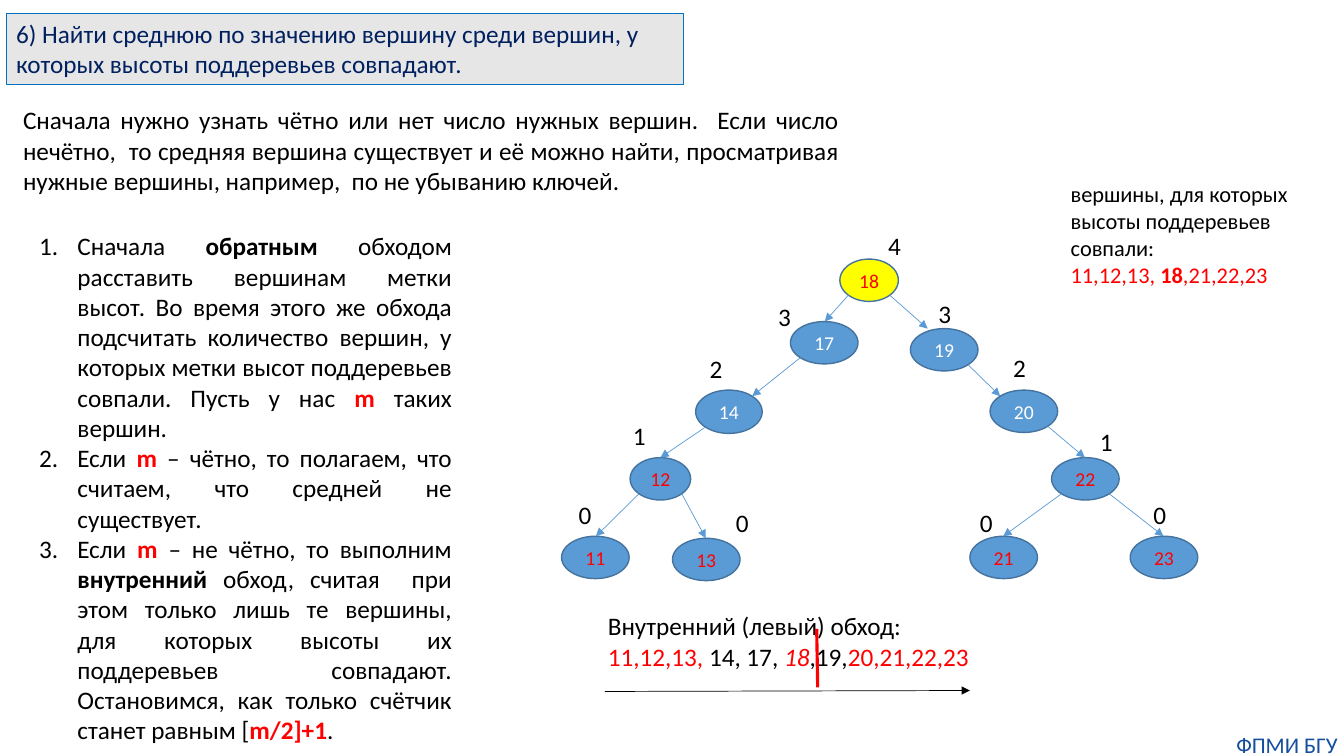
from math import sqrt

from lxml.etree import SubElement
from pptx import Presentation
from pptx.dml.color import RGBColor
from pptx.enum.shapes import MSO_CONNECTOR, MSO_SHAPE
from pptx.enum.text import MSO_ANCHOR, MSO_AUTO_SIZE, PP_ALIGN
from pptx.oxml.ns import qn
from pptx.util import Inches, Pt

HUES = {
    "black": "000000", "white": "FFFFFF", "red": "FF0000", "navy": "002060",
    "grey": "E7E6E6", "frame": "0070C0", "yellow": "FFFF00", "blue": "5B9BD5",
    "edge": "43739E", "foot": "144E9D",
}


class Board:
    """Slide with its style and a method for each kind of element."""

    font = "Calibri"

    def __init__(self, deck):
        self.slide = deck.slides.add_slide(deck.slide_layouts[5])
        self.shapes = self.slide.shapes

    def hue(self, name):
        return RGBColor.from_string(HUES[name])

    def paint(self, shape, fill, line, width):
        shape.fill.solid()
        shape.fill.fore_color.rgb = self.hue(fill)
        shape.line.color.rgb = self.hue(line)
        shape.line.width = Pt(width)

    def style(self, para, size, hue, align):
        para.alignment = align
        para.font.name = self.font
        para.font.size = Pt(size)
        para.font.color.rgb = self.hue(hue)

    def add_runs(self, para, parts):
        for text, marks in parts:
            run = para.add_run()
            run.text = text
            if "b" in marks:
                run.font.bold = True
            if "i" in marks:
                run.font.italic = True
            if "r" in marks:
                run.font.color.rgb = self.hue("red")

    def number(self, para):
        props = para._p.get_or_add_pPr()
        props.set("marL", str(Inches(0.38)))
        props.set("indent", str(-Inches(0.38)))
        SubElement(props, qn("a:buFont"), typeface="+mj-lt")
        SubElement(props, qn("a:buAutoNum"), type="arabicPeriod")

    def title(self, box, text):
        head = self.shapes.title
        head.left, head.top, head.width, head.height = map(Inches, box)
        self.paint(head, "grey", "frame", 0.75)
        frame = head.text_frame
        frame.text = text
        frame.word_wrap = True
        frame.auto_size = MSO_AUTO_SIZE.NONE
        frame.vertical_anchor = MSO_ANCHOR.TOP
        self.style(frame.paragraphs[0], 18, "navy", PP_ALIGN.LEFT)

    def text(self, box, paras, size=18, hue="black", align=PP_ALIGN.LEFT,
             wrap=True, inset=True, steps=False):
        frame = self.shapes.add_textbox(*map(Inches, box)).text_frame
        frame.word_wrap = wrap
        frame.auto_size = MSO_AUTO_SIZE.SHAPE_TO_FIT_TEXT
        if not inset:
            frame.margin_left = frame.margin_right = 0
            frame.margin_top = frame.margin_bottom = 0
        for spot, parts in enumerate(paras):
            para = frame.add_paragraph() if spot else frame.paragraphs[0]
            if steps:
                self.number(para)
            self.style(para, size, hue, align)
            self.add_runs(para, parts)

    def node(self, box, key, fill, hue):
        oval = self.shapes.add_shape(MSO_SHAPE.OVAL, *map(Inches, box))
        oval.shadow.inherit = False
        self.paint(oval, fill, "edge", 1)
        frame = oval.text_frame
        frame.text = str(key)
        frame.vertical_anchor = MSO_ANCHOR.MIDDLE
        self.style(frame.paragraphs[0], 14, hue, PP_ALIGN.CENTER)

    def line(self, start, end, hue, width=0.5, arrow=True):
        link = self.shapes.add_connector(
            MSO_CONNECTOR.STRAIGHT, *map(Inches, (*start, *end)))
        link.line.color.rgb = self.hue(hue)
        link.line.width = Pt(width)
        props = link._element.spPr
        if arrow:
            SubElement(props.find(qn("a:ln")), qn("a:tailEnd"),
                       type="triangle")
        SubElement(props, qn("a:effectLst"))


TREE = {
    18: ((8.33, 2.57, 0.58, 0.42), 4, (8.71, 2.24), None, None),
    17: ((7.84, 3.19, 0.67, 0.42), 3, (7.62, 2.94), 18, (8.18, 3.19)),
    19: ((9.03, 3.26, 0.67, 0.42), 3, (9.21, 2.91), 18, (9.2, 3.26)),
    14: ((6.9, 3.87, 0.66, 0.43), 2, (6.94, 3.46), 17, (7.46, 3.93)),
    20: ((9.82, 3.87, 0.67, 0.42), 2, (9.95, 3.45), 19, (9.92, 3.93)),
    12: ((6.25, 4.54, 0.6, 0.42), 1, (6.18, 4.12), 14, (6.55, 4.54)),
    22: ((10.43, 4.54, 0.67, 0.42), 1, (10.81, 4.18), 20, (10.76, 4.54)),
    11: ((5.57, 5.32, 0.67, 0.42), 0, (5.64, 4.9), 12, (5.91, 5.32)),
    13: ((6.67, 5.34, 0.67, 0.42), 0, (7.2, 4.98), 12, (7, 5.34)),
    21: ((9.62, 5.32, 0.67, 0.42), 0, (9.62, 4.98), 22, (9.95, 5.32)),
    23: ((11.21, 5.32, 0.67, 0.42), 0, (11.34, 4.9), 22, (11.54, 5.32)),
}
PLAIN = {14, 17, 19, 20}
STEPS = [
    [("Сначала ", ""), ("обратным", "b"),
     (" обходом расставить вершинам метки высот. Во время этого же обхода "
      "подсчитать количество вершин, у которых метки высот поддеревьев "
      "совпали. Пусть у нас ", ""),
     ("m ", "rb"), ("таких вершин. ", "")],
    [("Если ", ""), ("m", "rb"),
     (" – чётно, то полагаем, что считаем, что средней не существует.", "")],
    [("Если ", ""), ("m", "rb"), (" – не чётно, то выполним ", ""),
     ("внутренний", "b"),
     (" обход, считая  при этом только лишь те вершины, для которых высоты "
      "их поддеревьев совпадают. Остановимся, как только счётчик станет "
      "равным [", ""),
     ("m/2]+1", "rb"), (". ", "")],
]
INTRO = ("Сначала нужно узнать чётно или нет число нужных вершин.  Если число "
         "нечётно,  то средняя вершина существует и её можно найти, "
         "просматривая нужные вершины, например,  по не убыванию ключей.")
MATCH = [
    [("вершины, для которых высоты поддеревьев совпали:", "")],
    [("11,12,13, ", "r"), ("18", "rb"), (",21,22,23", "r")],
]
ORDER = [
    [("Внутренний (левый) обход:", "")],
    [("11,12,13, ", "r"), ("14, 17, ", ""), ("18", "ri"), (",19,", ""),
     ("20,21,22,23", "r")],
]


def corner(box, tip):
    left, top, wide, high = box
    mid = left + wide / 2
    side = 1 if tip[0] > mid else -1
    return mid + side * wide / sqrt(8), top + high / 2 + high / sqrt(8)


def main():
    deck = Presentation()
    deck.slide_width, deck.slide_height = Inches(13.33), Inches(7.5)
    board = Board(deck)
    board.title((0.06, 0.13, 6.72, 0.71),
                "6) Найти среднюю по значению вершину среди вершин, "
                "у которых высоты поддеревьев совпадают.")
    board.text((0.13, 0.99, 8.29, 1.01), [[(INTRO, "")]],
               align=PP_ALIGN.JUSTIFY)
    board.text((0.29, 2.24, 4.29, 5.25), STEPS, align=PP_ALIGN.JUSTIFY,
               steps=True)
    for key, (box, level, spot, root, tip) in TREE.items():
        board.node(box, key, "blue" if root else "yellow",
                   "white" if key in PLAIN else "red")
        if root:
            board.line(corner(TREE[root][0], tip), tip, "blue")
        board.text((*spot, 0.33, 0.4), [[(str(level), "")]], wrap=False)
    board.text((10.52, 1.74, 2.64, 1.18), MATCH, size=16)
    board.text((5.93, 6.01, 4.02, 0.71), ORDER)
    board.line((6, 6.86), (9.62, 6.85), "black")
    board.line((8.1, 6.24), (8.11, 6.82), "red", 2.25, arrow=False)
    board.text((12.2, 7.25, 1.13, 0.27), [[("ФПМИ БГУ", "")]], size=16,
               hue="foot", align=PP_ALIGN.CENTER, inset=False)
    deck.save("out.pptx")


if __name__ == "__main__":
    main()
